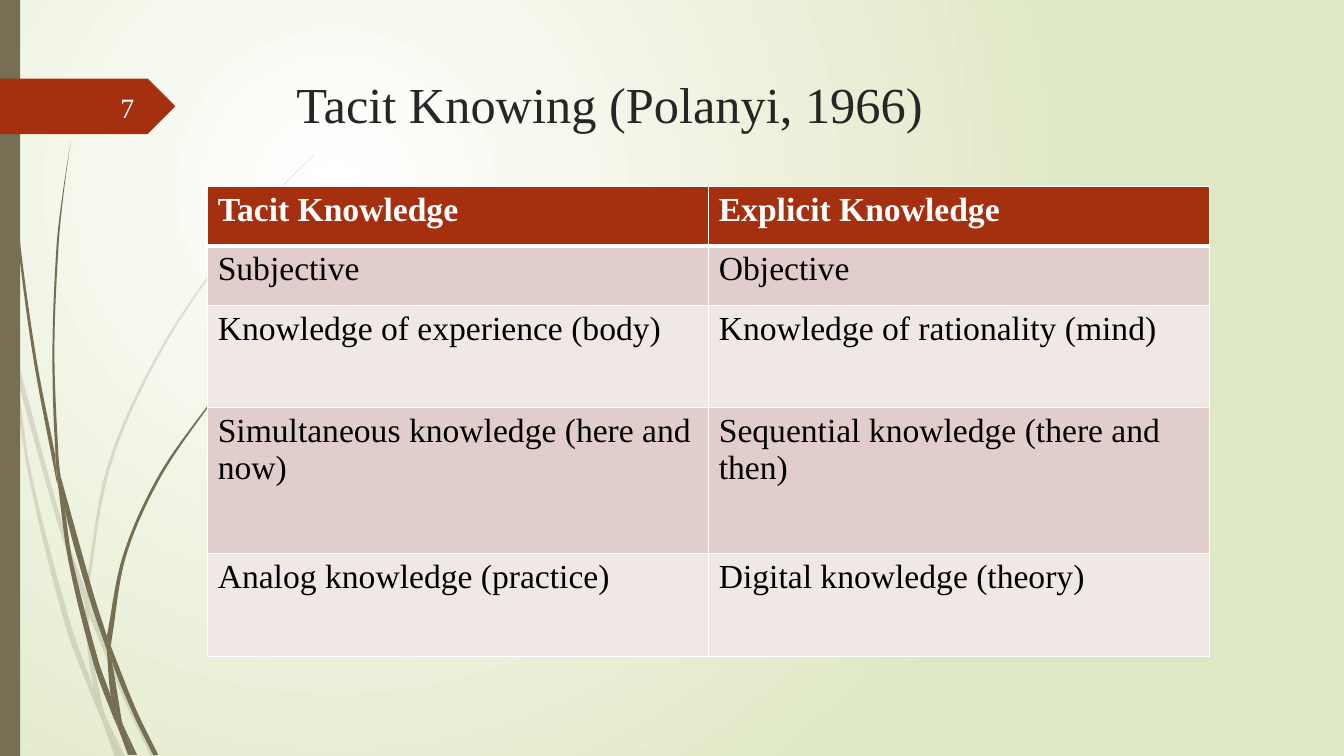
from math import dist
from lxml import etree
from pptx import Presentation
from pptx.dml.color import RGBColor
from pptx.enum.shapes import MSO_SHAPE
from pptx.enum.text import MSO_ANCHOR, PP_ALIGN
from pptx.oxml.ns import qn
from pptx.util import Inches, Pt

PENTAGON, RECT = MSO_SHAPE.PENTAGON, MSO_SHAPE.RECTANGLE
TOP, MIDDLE = MSO_ANCHOR.TOP, MSO_ANCHOR.MIDDLE
LEFT, RIGHT = PP_ALIGN.LEFT, PP_ALIGN.RIGHT

FONT = "Times New Roman"
WHITE = RGBColor(0xFF, 0xFF, 0xFF)
NEAR_WHITE = RGBColor(0xFE, 0xFF, 0xFF)
BLACK = RGBColor(0, 0, 0)
CHARCOAL = RGBColor(0x26, 0x26, 0x26)
LIME = RGBColor(0xDF, 0xE8, 0xC4)
OLIVE = RGBColor(0x76, 0x6F, 0x54)
RUST = RGBColor(0xA5, 0x30, 0x10)
BANDS = RGBColor(0xE1, 0xCD, 0xCC), RGBColor(0xF0, 0xE8, 0xE7)

TITLE = "Tacit Knowing (Polanyi, 1966)"
PAGE = "7"
ROWS = [
    ("Tacit Knowledge", "Explicit Knowledge"),
    ("Subjective", "Objective"),
    ("Knowledge of experience (body)", "Knowledge of rationality (mind)"),
    ("Simultaneous knowledge (here and now)", "Sequential knowledge (there and then)"),
    ("Analog knowledge (practice)", "Digital knowledge (theory)"),
]
ROW_HEIGHTS = [0.59, 0.59, 1.01, 1.45, 1.02]
COLUMN_WIDTH = 4.97

PALE_BLADES = [
    ([(0.11, 3.5), (0.09, 3.22), (0, 2.82)], [(0, 2.99), (0.1, 3.44), (0.11, 3.5)]),
    ([(0.14, 3.45), (0.62, 5.2), (0.85, 5.86)], [(0.84, 5.99), (0.58, 5.22), (0.17, 3.76)]),
    ([(0.88, 5.96), (0.92, 6.07), (1.27, 6.92), (1.55, 7.51)],
     [(1.5, 7.51), (1.23, 6.94), (0.88, 6.1)]),
    ([(1.19, 7.51), (1.24, 7.51)], [(1.05, 7.11)]),
    ([(0.11, 3.5), (0.17, 3.76), (0.31, 4.69), (0.7, 6.19), (0.93, 6.83), (0.99, 7.07)],
     [(1.01, 7.14), (0.92, 6.93), (0.65, 6.21), (0.28, 4.7), (0.11, 3.5)]),
    ([(0.84, 5.99), (0.87, 6.46), (0.93, 6.83), (0.96, 6.92)],
     [(1.05, 7.11), (1.03, 7.06), (0.91, 6.46), (0.88, 6.1), (0.88, 6.08)]),
    ([(0.88, 5.96), (0.88, 5.84), (1.1, 4.62), (1.6, 3.49), (2.29, 2.45), (2.68, 1.98),
      (2.9, 1.75), (3.12, 1.54)],
     [(3.12, 1.53), (2.89, 1.75), (2.68, 1.97), (2.28, 2.44), (1.58, 3.48), (1.07, 4.61),
      (0.85, 5.84), (0.85, 5.86)]),
    ([(1.01, 7.14), (1.14, 7.51)], [(1.19, 7.51)]),
    ([(0.88, 6.08), (0.88, 6.1), (0.88, 5.96)], [(0.85, 5.86), (0.84, 5.99)]),
    ([(0.93, 6.83), (0.99, 7.07), (1.01, 7.14), (1.19, 7.51)], [(1.05, 7.11), (0.96, 6.92)]),
]
DARK_BLADES = [
    ([(0.03, 0), (0.04, 0.48), (0.07, 1.1), (0.17, 2.33), (0.33, 3.55), (0.56, 4.77), (0.57, 4.81)],
     [(0.55, 4.57), (0.55, 4.53), (0.36, 3.55), (0.19, 2.32), (0.08, 1.09), (0.05, 0.48), (0.04, 0)]),
    ([(0.6, 4.72), (0.64, 5.05), (0.88, 5.92), (1.06, 6.45)],
     [(1.06, 6.33), (1.06, 6.31), (0.93, 5.9), (0.6, 4.72)]),
    ([(1.1, 6.41), (1.11, 6.56), (1.32, 7.08), (1.52, 7.49)],
     [(1.57, 7.49), (1.36, 7.06), (1.13, 6.49)]),
    ([(0.57, 4.77), (0.68, 5.57), (0.93, 6.59), (1.11, 7.08), (1.17, 7.22)],
     [(1.16, 7.17), (1.1, 6.91), (0.98, 6.57), (0.72, 5.56), (0.64, 5.05), (0.57, 4.77)]),
    ([(0.6, 4.72), (0.58, 4.53), (0.54, 3.49), (0.58, 2.45), (0.63, 1.93), (0.7, 1.41)],
     [(0.7, 1.41), (0.62, 1.93), (0.56, 2.45), (0.52, 3.49), (0.55, 4.49), (0.6, 4.72)]),
    ([(1.33, 7.49), (1.36, 7.49)], [(1.22, 7.19)]),
    ([(0.55, 4.49), (0.55, 4.53), (0.57, 4.77), (0.64, 5.05)], [(0.6, 4.72), (0.55, 4.49)]),
    ([(1.1, 6.41), (1.11, 6.33), (1.25, 5.52), (1.58, 4.76), (2.05, 4.06), (2.31, 3.74),
      (2.45, 3.59), (2.61, 3.44)],
     [(2.6, 3.44), (2.45, 3.58), (2.31, 3.73), (2.04, 4.05), (1.56, 4.74), (1.22, 5.51),
      (1.06, 6.31)]),
    ([(1.17, 7.22), (1.27, 7.49)], [(1.31, 7.49), (1.17, 7.22)]),
    ([(1.06, 6.45), (1.1, 6.91), (1.16, 7.06), (1.22, 7.19)],
     [(1.21, 7.16), (1.11, 6.56), (1.09, 6.51)]),
    ([(1.06, 6.45), (1.09, 6.51), (1.11, 6.56)], [(1.1, 6.41), (1.06, 6.31), (1.06, 6.33)]),
    ([(1.1, 6.91), (1.16, 7.17), (1.17, 7.22), (1.3, 7.49)],
     [(1.33, 7.49), (1.22, 7.19), (1.16, 7.06)]),
]


def handles(edge):
    ends = [edge[0], *edge, edge[-1]]
    for a, b, c, d in zip(ends, ends[1:], ends[2:], ends[3:]):
        reach = dist(b, c) / 3
        after, before = reach / (dist(a, c) or 1), reach / (dist(b, d) or 1)
        yield ([q + (r - p) * after for p, q, r in zip(a, b, c)],
               [r - (s - q) * before for q, r, s in zip(b, c, d)])


def bend(sp, out, back):
    lines = list(sp._element.iter(qn("a:lnTo")))
    curved = lines[:len(out) - 1] + lines[len(out):]
    for line, pair in zip(curved, [*handles(out), *handles(back)]):
        line.tag = qn("a:cubicBezTo")
        for i, (x, y) in enumerate(pair):
            line.insert(i, etree.Element(qn("a:pt"), x=str(Inches(x) - sp.left),
                                         y=str(Inches(y) - sp.top)))


def paint(sp, color, alpha=None):
    sp.shadow.inherit = False
    sp.fill.solid()
    sp.fill.fore_color.rgb = color
    sp.line.fill.background()
    if alpha:
        clr = sp._element.spPr.find(qn("a:solidFill"))[0]
        etree.SubElement(clr, qn("a:alpha"), val=str(alpha * 1000))


def add_blades(slide, blades, alpha=None):
    group = slide.shapes.add_group_shape()
    for out, back in blades:
        points = [(Inches(x), Inches(y)) for x, y in out + back]
        builder = group.shapes.build_freeform(*points[0])
        builder.add_line_segments(points[1:], close=True)
        sp = builder.convert_to_shape()
        bend(sp, out, back)
        paint(sp, OLIVE, alpha)


def add_block(slide, kind, color, *box):
    paint(slide.shapes.add_shape(kind, *map(Inches, box)), color)


def write(tf, text, size, color, align=LEFT, bold=False):
    tf.text = text
    tf.word_wrap = True
    p = tf.paragraphs[0]
    p.alignment = align
    p.font.name, p.font.size, p.font.bold = FONT, Pt(size), bold
    p.font.color.rgb = color


def underline_cell(cell, color, width):
    line = etree.Element(qn("a:lnB"), w=str(Pt(width)))
    solid = etree.SubElement(line, qn("a:solidFill"))
    etree.SubElement(solid, qn("a:srgbClr"), val=str(color))
    cell._tc.get_or_add_tcPr().insert(0, line)


prs = Presentation()
prs.slide_width, prs.slide_height = Inches(13.33), Inches(7.5)
slide = prs.slides.add_slide(prs.slide_layouts[5])

fill = slide.background.fill
fill.gradient()
for stop, color in zip(fill.gradient_stops, (WHITE, LIME)):
    stop.color.rgb = color
grad = slide._element.find(".//" + qn("a:gradFill"))
grad.remove(grad.find(qn("a:lin")))
circle = etree.SubElement(grad, qn("a:path"), {"path": "circle"})
etree.SubElement(circle, qn("a:fillToRect"), l="50000", t="50000", r="100000", b="100000")

add_blades(slide, PALE_BLADES, alpha=20)
add_blades(slide, DARK_BLADES)
add_block(slide, RECT, OLIVE, 0, 0, 0.2, 7.5)
add_block(slide, PENTAGON, RUST, 0, 0.78, 1.74, 0.55)

title = slide.shapes.title
title.left, title.top, title.width, title.height = map(Inches, (2.84, 0.68, 9.75, 1.4))
write(title.text_frame, TITLE, 36, CHARCOAL)
title.text_frame.vertical_anchor = TOP

table = slide.shapes.add_table(len(ROWS), 2, *map(
    Inches, (2.06, 1.85, 2 * COLUMN_WIDTH, sum(ROW_HEIGHTS)))).table
for column in table.columns:
    column.width = Inches(COLUMN_WIDTH)
for i, (texts, height) in enumerate(zip(ROWS, ROW_HEIGHTS)):
    table.rows[i].height = Inches(height)
    header = i == 0
    for cell, text in zip(table.rows[i].cells, texts):
        cell.fill.solid()
        cell.fill.fore_color.rgb = RUST if header else BANDS[(i - 1) % 2]
        write(cell.text_frame, text, 24, WHITE if header else BLACK, bold=header)
        if header:
            underline_cell(cell, WHITE, 3)

number = slide.shapes.add_textbox(*map(Inches, (0.58, 0.86, 0.85, 0.4)))
write(number.text_frame, PAGE, 20, NEAR_WHITE, RIGHT)
number.text_frame.vertical_anchor = MIDDLE

prs.save("out.pptx")
